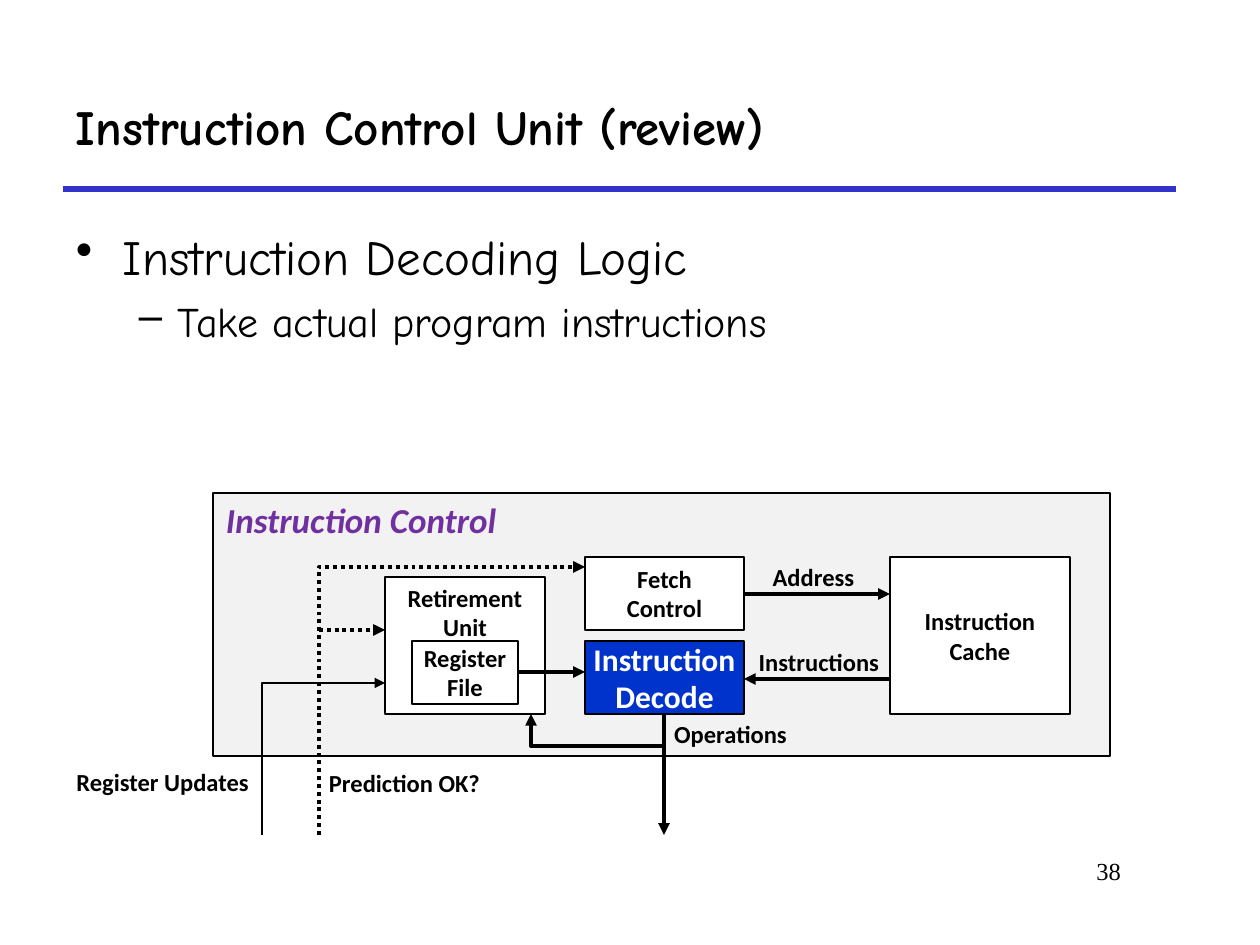
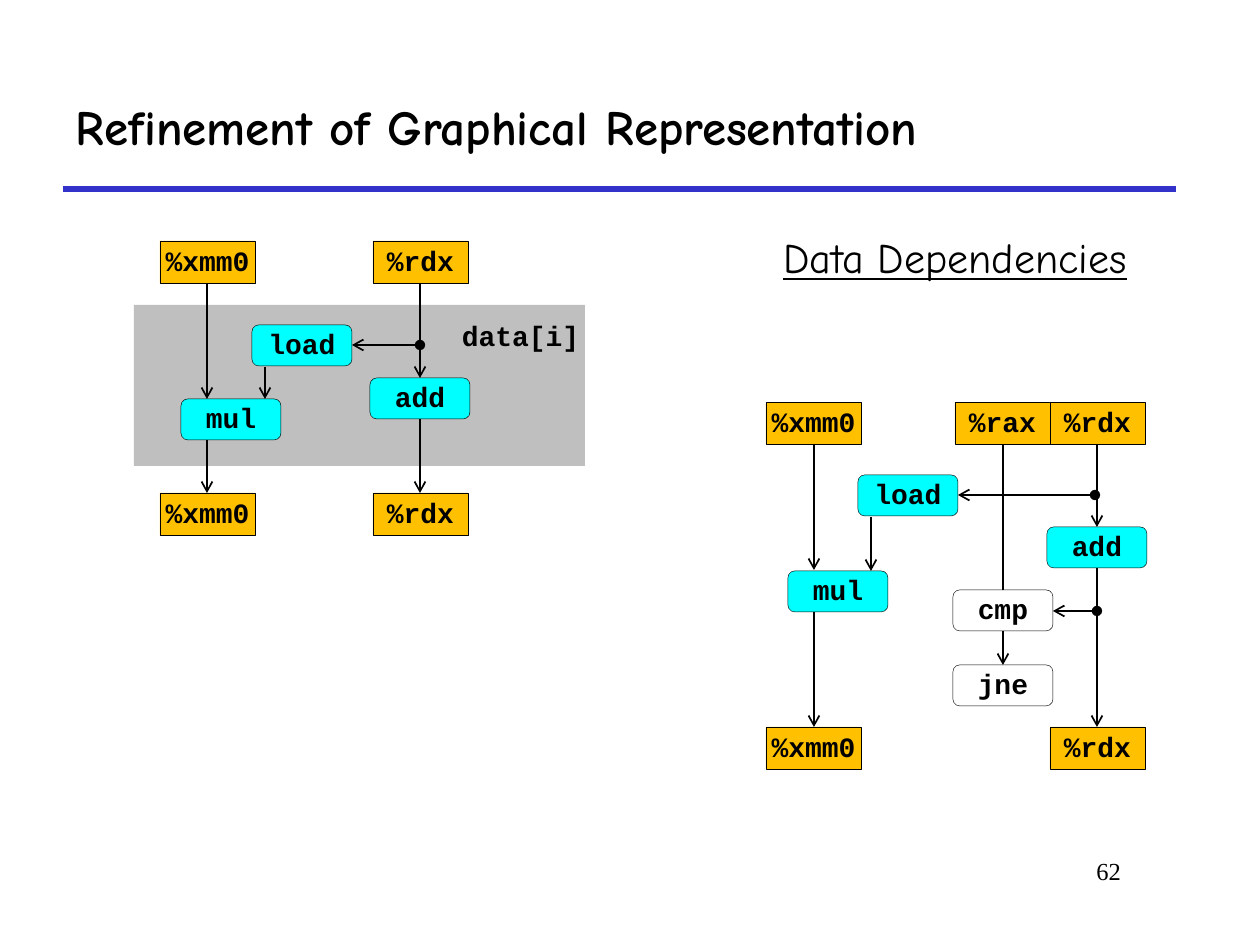
from lxml import etree
from pptx import Presentation
from pptx.dml.color import RGBColor
from pptx.enum.dml import MSO_LINE
from pptx.enum.shapes import MSO_CONNECTOR, MSO_SHAPE
from pptx.enum.text import MSO_ANCHOR, MSO_AUTO_SIZE, PP_ALIGN
from pptx.oxml.ns import qn
from pptx.util import Inches, Pt

PX = 7257
RECT, ROUND = MSO_SHAPE.RECTANGLE, MSO_SHAPE.ROUNDED_RECTANGLE
STRAIGHT, DOTTED = MSO_CONNECTOR.STRAIGHT, MSO_LINE.ROUND_DOT
LEFT, CENTER, RIGHT = PP_ALIGN.LEFT, PP_ALIGN.CENTER, PP_ALIGN.RIGHT
TOP, MIDDLE = MSO_ANCHOR.TOP, MSO_ANCHOR.MIDDLE
BLACK, WHITE, GOLD, CYAN = "000000", "FFFFFF", "FFC000", "00FFFF"
HEADING, CODE = "Comic Neue", "Courier New"

color = RGBColor.from_string


def write(box, text, size=14, font="Calibri", fill=BLACK, bold=True, italic=False,
          underline=False, align=CENTER, anchor=TOP, wrap=True, margins=(13, 6),
          spacing=1.0, before=0, bullet=None, indent=(0, 0)):
    frame = box.text_frame
    frame.auto_size = MSO_AUTO_SIZE.NONE
    frame.word_wrap = wrap
    frame.vertical_anchor = anchor
    frame.margin_left = frame.margin_right = margins[0] * PX
    frame.margin_top = frame.margin_bottom = margins[1] * PX
    for line in text.split("\n"):
        para = frame.add_paragraph() if frame.text else frame.paragraphs[0]
        para.alignment = align
        para.line_spacing = spacing
        para.space_before = Pt(before)
        if bullet:
            props = para._p.get_or_add_pPr()
            props.set("marL", str(indent[0] * PX))
            props.set("indent", str(indent[1] * PX))
            etree.SubElement(props, qn("a:buChar")).set("char", bullet)
        span = para.add_run()
        span.text = line
        span.font.size = Pt(size)
        span.font.name = font
        span.font.color.rgb = color(fill)
        span.font.bold = bold
        span.font.italic = italic
        span.font.underline = underline


def draw_wire(page, points, width, head="none", tail="none", dash=None, fill=BLACK):
    if len(points) == 2:
        ends = [value * PX for point in points for value in point]
        wire = page.shapes.add_connector(STRAIGHT, *ends)
    else:
        outline = page.shapes.build_freeform(*points[0], scale=PX)
        outline.add_line_segments(points[1:], close=False)
        wire = outline.convert_to_shape()
        wire.fill.background()
    wire.line.color.rgb = color(fill)
    wire.line.width = Pt(width)
    if dash:
        wire.line.dash_style = dash
    props = wire._element.spPr
    stroke = props.find(qn("a:ln"))
    etree.SubElement(stroke, qn("a:headEnd")).set("type", head)
    etree.SubElement(stroke, qn("a:tailEnd")).set("type", tail)
    etree.SubElement(props, qn("a:effectLst"))


deck = Presentation()
deck.slide_width, deck.slide_height = Inches(10), Inches(7.5)

pages = []
for title, number in [("Instruction Control Unit (review)", "38"),
                      ("Refinement of Graphical Representation", "62")]:
    page = deck.slides.add_slide(deck.slide_layouts[5])
    draw_wire(page, [(63, 189), (1176, 189)], 3, fill="3333CC")
    heading = page.shapes.title
    heading.left, heading.top = 63 * PX, 63 * PX
    heading.width, heading.height = 1113 * PX, 126 * PX
    write(heading, title, size=28, font=HEADING, align=LEFT, anchor=MIDDLE)
    footer = page.shapes.add_textbox(955 * PX, 850 * PX, 179 * PX, 63 * PX)
    write(footer, number, font="Times New Roman", bold=False, align=RIGHT)
    pages.append(page)
control_page, graph_page = pages

body = control_page.shapes.add_textbox(63 * PX, 220 * PX, 1144 * PX, 260 * PX)
write(body, "Instruction Decoding Logic", size=28, font=HEADING, bold=False,
      align=LEFT, bullet="•", indent=(47, -47))
write(body, "Take actual program instructions", size=24, font=HEADING, bold=False,
      align=LEFT, before=6, bullet="–", indent=(102, -39))

unit = dict(anchor=MIDDLE, wrap=False)
blocks = [
    (control_page, RECT, (213, 493, 897, 263), "F2F2F2", 1.5, "Instruction Control",
     dict(size=20, fill="7030A0", italic=True, align=LEFT, wrap=False)),
    (control_page, RECT, (890, 557, 180, 157), WHITE, 0.75, "Instruction\nCache", unit),
    (control_page, RECT, (585, 557, 159, 73), WHITE, 0.75, "Fetch\nControl", unit),
    (control_page, RECT, (585, 641, 159, 73), "0033CC", 0.75, "Instruction\nDecode",
     dict(unit, size=18, fill=WHITE)),
    (control_page, RECT, (385, 577, 160, 137), WHITE, 0.75, "Retirement\nUnit",
     dict(wrap=False)),
    (control_page, RECT, (412, 641, 106, 63), WHITE, 0.75, "Register\nFile", unit),
    (graph_page, RECT, (134, 305, 451, 161), "BFBFBF", 0, "", {}),
]

node = dict(size=16, font=CODE, anchor=MIDDLE, margins=(0, 0), spacing=0.9)
registers = [
    ("%xmm0", 160, 241), ("%rdx", 373, 241), ("%xmm0", 160, 493), ("%rdx", 373, 493),
    ("%xmm0", 766, 402), ("%rax", 955, 402), ("%rdx", 1050, 402),
    ("%xmm0", 766, 727), ("%rdx", 1050, 727),
]
operations = [
    ("load", 252, 325, CYAN), ("mul", 181, 399, CYAN), ("add", 370, 378, CYAN),
    ("load", 858, 475, CYAN), ("mul", 788, 571, CYAN), ("add", 1047, 527, CYAN),
    ("cmp", 953, 590, WHITE), ("jne", 953, 665, WHITE),
]
for name, x, y in registers:
    blocks.append((graph_page, RECT, (x, y, 95, 42), GOLD, 0.25, name, node))
for name, x, y, fill in operations:
    blocks.append((graph_page, ROUND, (x, y, 100, 41), fill, 0.25, name, node))

for page, kind, place, fill, width, text, style in blocks:
    block = page.shapes.add_shape(kind, *[value * PX for value in place])
    block.shadow.inherit = False
    block.fill.solid()
    block.fill.fore_color.rgb = color(fill)
    if width:
        block.line.color.rgb = color(BLACK)
        block.line.width = Pt(width)
    else:
        block.line.fill.background()
    if text:
        write(block, text, **style)

control_wires = [
    ([(744, 594), (890, 594)], 2.25, None),
    ([(890, 679), (744, 679)], 2.25, None),
    ([(664, 714), (664, 835)], 2.25, None),
    ([(518, 672), (585, 672)], 2.25, None),
    ([(664, 746), (531, 746), (531, 714)], 2.25, None),
    ([(319, 835), (319, 567), (585, 567)], 2.25, DOTTED),
    ([(319, 630), (385, 630)], 2.25, DOTTED),
    ([(262, 835), (262, 683), (385, 683)], 1.5, None),
]
for points, width, dash in control_wires:
    draw_wire(control_page, points, width, tail="triangle", dash=dash)

graph_wires = [
    ((207, 283), (207, 399)), ((207, 440), (207, 493)), ((265, 367), (265, 399)),
    ((420, 283), (420, 378)), ((420, 419), (420, 493)),
    ((814, 444), (814, 570)), ((814, 612), (814, 727)), ((871, 517), (871, 571)),
    ((1097, 444), (1097, 527)), ((1097, 568), (1097, 727)), ((1003, 631), (1003, 665)),
]
branches = [((420, 345), (352, 345)), ((1095, 495), (958, 495)), ((1097, 611), (1053, 611))]
for points in graph_wires:
    draw_wire(graph_page, points, 1, tail="arrow")
for points in branches:
    draw_wire(graph_page, points, 1, head="oval", tail="arrow")
draw_wire(graph_page, ((1003, 444), (1003, 590)), 1)

labels = [
    (control_page, (760, 556, 107, 43), "Address", dict(wrap=False)),
    (control_page, (746, 641, 146, 43), "Instructions", dict(wrap=False)),
    (control_page, (661, 713, 139, 43), "Operations", dict(wrap=False)),
    (control_page, (316, 762, 176, 43), "Prediction OK?", dict(wrap=False, align=LEFT)),
    (control_page, (63, 761, 199, 43), "Register Updates", dict(wrap=False, align=RIGHT)),
    (graph_page, (449, 316, 152, 43), "data[i]",
     dict(size=16, font=CODE, align=LEFT, spacing=0.9)),
    (graph_page, (703, 231, 504, 58), "Data Dependencies",
     dict(size=24, font=HEADING, bold=False, underline=True, spacing=0.9)),
]
for page, place, text, style in labels:
    label = page.shapes.add_textbox(*[value * PX for value in place])
    write(label, text, **style)

deck.save("out.pptx")
